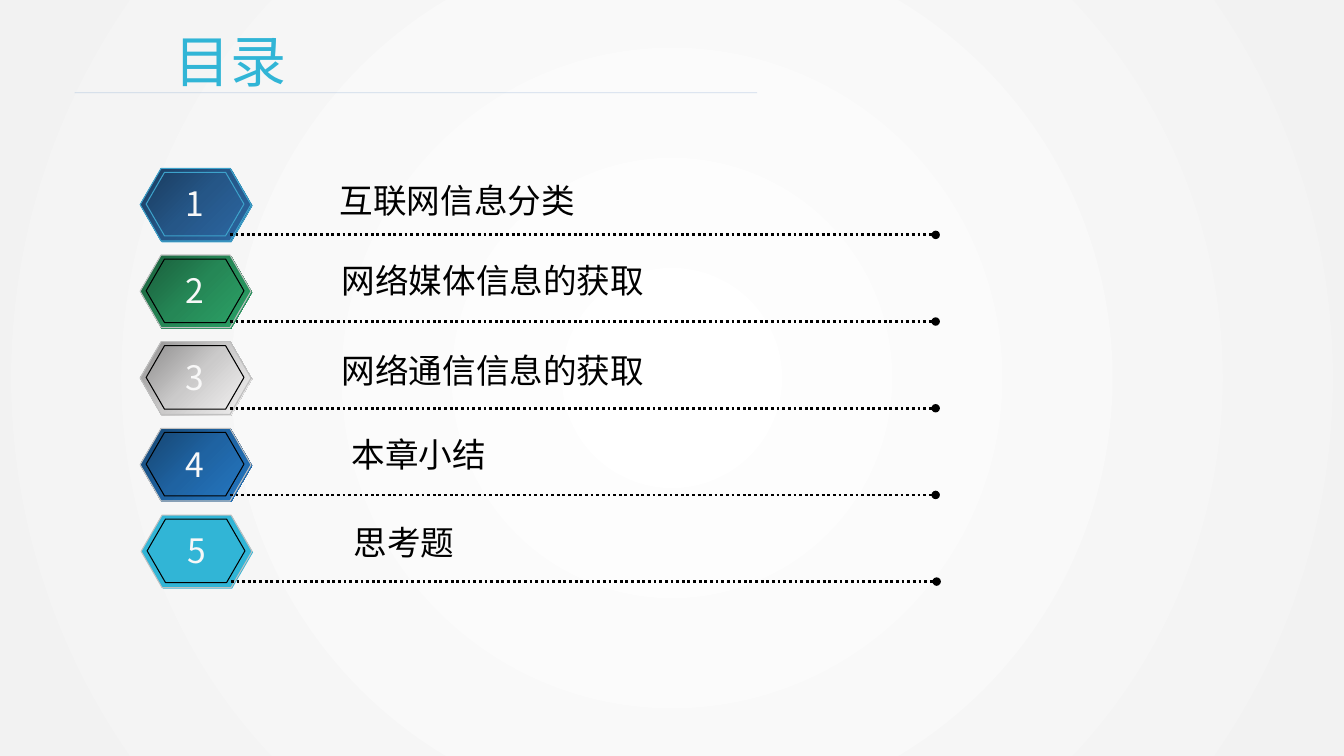
import copy
import pptx
import pptx.dml.color
import pptx.enum.dml
import pptx.enum.shapes
import pptx.enum.text
import pptx.oxml.ns
import pptx.oxml.xmlchemy
import pptx.util

Inches = pptx.util.Inches
Pt = pptx.util.Pt
RGB = pptx.dml.color.RGBColor.from_string
qn = pptx.oxml.ns.qn
Element = pptx.oxml.xmlchemy.OxmlElement
Align = pptx.enum.text.PP_ALIGN
Dash = pptx.enum.dml.MSO_LINE
FONT = "Noto Sans CJK SC"
COLORS = {
    "accent": "31B5D6", "rule": "4A7EBB", "ink": "000000", "number": "F8F8F8",
    "silver": "C0C0C0", "sky": "3DA2CB", "center": "FFFFFF", "edge": "F2F2F2",
}


def write(box, text, size, color, align, wrap):
    frame = box.text_frame
    frame_format = {
        "word_wrap": wrap,
        "auto_size": pptx.enum.text.MSO_AUTO_SIZE.SHAPE_TO_FIT_TEXT,
        "vertical_anchor": pptx.enum.text.MSO_ANCHOR.TOP,
    }
    for key, value in frame_format.items():
        setattr(frame, key, value)
    paragraph = frame.paragraphs[0]
    paragraph.alignment = align
    run = paragraph.add_run()
    run.text = text
    for key, value in {"size": Pt(size), "name": FONT}.items():
        setattr(run.font, key, value)
    run.font.color.rgb = RGB(COLORS[color])
    east_asian = Element("a:ea")
    east_asian.set("typeface", FONT)
    run.font._element.find(qn("a:latin")).addnext(east_asian)


def blend(fill, owner, hexes):
    fill.gradient()
    gradient = owner.find(".//" + qn("a:gradFill"))
    stop_list = gradient.find(qn("a:gsLst"))
    for _ in hexes[2:]:
        stop_list.append(copy.deepcopy(stop_list[0]))
    for index, (stop, color) in enumerate(zip(fill.gradient_stops, hexes)):
        stop.position = index / (len(hexes) - 1)
        stop.color.rgb = RGB(color)
    return gradient


deck = pptx.Presentation()
deck.slide_width = Inches(13.33)
deck.slide_height = Inches(7.5)
slide = deck.slides.add_slide(deck.slide_layouts[5])

backdrop = blend(slide.background.fill, slide._element, [COLORS["center"], COLORS["edge"]])
backdrop.remove(backdrop.find(qn("a:lin")))
radial = Element("a:path")
radial.set("path", "circle")
focus = Element("a:fillToRect")
for side in "ltrb":
    focus.set(side, "50000")
radial.append(focus)
backdrop.append(radial)

heading = slide.shapes.title
for key, value in {"left": 1.63, "top": 0.21, "width": 8.5, "height": 0.77}.items():
    setattr(heading, key, Inches(value))
write(heading, "目录", 40, "accent", Align.LEFT, True)

chapters = [
    ("互联网信息分类", 3.27, 1.74, 2.56, ["1A3C5F", "255687", "2B66A1"]),
    ("网络媒体信息的获取", 3.29, 2.53, 3.23, ["1A5F3C", "258756", "2BA166"]),
    ("网络通信信息的获取", 3.29, 3.42, 3.23, ["8F8E8E", "CBCACA", "F1F0F0"]),
    ("本章小结", 3.39, 4.26, 1.55, ["164672", "1F63A2", "2476C0"]),
    ("思考题", 3.41, 5.13, 1.21, [COLORS["accent"]]),
]
badge_layers = [
    (0.01, 0.01, 1.1, 0.72, None),
    (0, 0, 1.1, 0.72, "silver"),
    (0.06, 0.04, 0.97, 0.63, "ink"),
]
rules = [(0.74, 7.51, 0.92, "rule", 0.5, Dash.SOLID)]

for row, (topic, topic_left, topic_top, topic_width, shades) in enumerate(chapters):
    left = 1.4 if row == 4 else 1.39
    top = 1.67 + 0.86 * row
    for dx, dy, width, height, outline in badge_layers:
        badge = slide.shapes.add_shape(
            pptx.enum.shapes.MSO_SHAPE.HEXAGON,
            Inches(left + dx), Inches(top + dy), Inches(width), Inches(height))
        badge.adjustments[0] = 0.289
        badge.adjustments[1] = 1.155
        badge.shadow.inherit = False
        if len(shades) > 1:
            blend(badge.fill, badge._element, shades)
            badge.fill.gradient_angle = 315
        else:
            badge.fill.solid()
            badge.fill.fore_color.rgb = RGB(shades[0])
        edge = "sky" if row == 0 else outline
        if edge:
            badge.line.color.rgb = RGB(COLORS[edge])
            badge.line.width = Pt(0.75)
        else:
            badge.line.fill.background()
    rules.append((left + 0.89, left + 7.89, top + 0.66, "ink", 2, Dash.ROUND_DOT))

for start, end, y, color, weight, dash in rules:
    rule = slide.shapes.add_connector(
        pptx.enum.shapes.MSO_CONNECTOR.STRAIGHT,
        Inches(start), Inches(y), Inches(end), Inches(y))
    rule.line.color.rgb = RGB(COLORS[color])
    for key, value in {"width": Pt(weight), "dash_style": dash}.items():
        setattr(rule.line, key, value)
    if color == "rule":
        alpha = Element("a:alpha")
        alpha.set("val", "25000")
        rule._element.spPr.find(".//" + qn("a:srgbClr")).append(alpha)
    else:
        dot = Element("a:tailEnd")
        dot.set("type", "oval")
        rule._element.spPr.find(qn("a:ln")).append(dot)
    rule._element.spPr.append(Element("a:effectLst"))

for row, (topic, topic_left, topic_top, topic_width, shades) in enumerate(chapters):
    number_left = 1.75 if row == 4 else 1.73
    number = slide.shapes.add_textbox(
        Inches(number_left), Inches(1.77 + 0.86 * row), Inches(0.4), Inches(0.5))
    write(number, str(row + 1), 24, "number", Align.CENTER, False)
    label = slide.shapes.add_textbox(
        Inches(topic_left), Inches(topic_top), Inches(topic_width), Inches(0.5))
    write(label, topic, 24, "ink", Align.LEFT, False)

deck.save("out.pptx")
